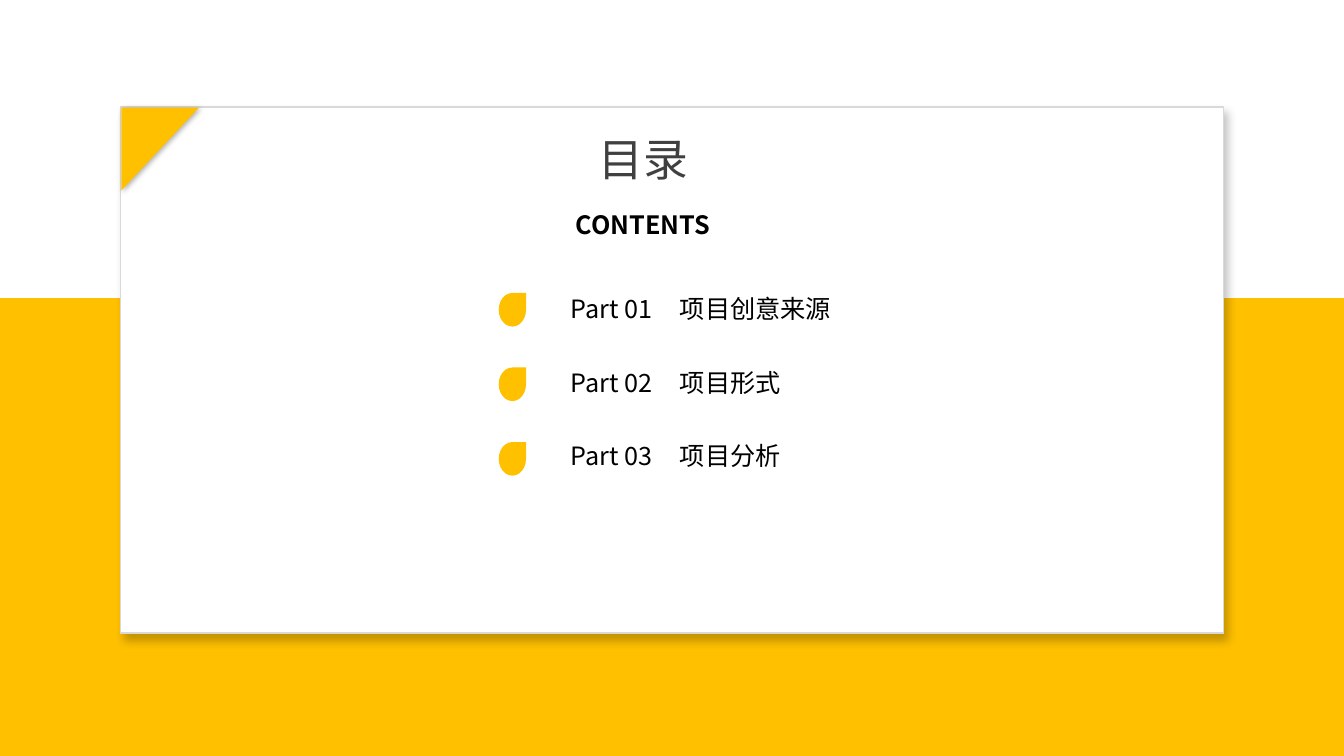
from lxml.etree import SubElement
from pptx import Presentation
from pptx.dml.color import RGBColor
from pptx.enum.shapes import MSO_SHAPE
from pptx.enum.text import MSO_AUTO_SIZE, PP_ALIGN
from pptx.oxml.ns import qn
from pptx.util import Pt

EMU_PER_PX = 9525
SLIDE_SIZE = (1280, 720)
FONT = "Noto Sans CJK SC"
AMBER = RGBColor(0xFF, 0xC0, 0x00)
WHITE = RGBColor(0xFF, 0xFF, 0xFF)
BORDER_GRAY = RGBColor(0xD9, 0xD9, 0xD9)
TITLE_GRAY = RGBColor(0x40, 0x40, 0x40)
BLACK = RGBColor(0x00, 0x00, 0x00)

PARTS = [
    ("Part 01", "项目创意来源"),
    ("Part 02", "项目形式"),
    ("Part 03", "项目分析"),
]


def px(length):
    return length * EMU_PER_PX


def add_block(slide, kind, box, color, line=None):
    shape = slide.shapes.add_shape(kind, *map(px, box))
    shape.shadow.inherit = False
    shape.fill.solid()
    shape.fill.fore_color.rgb = color
    if line is None:
        shape.line.fill.background()
    else:
        shape.line.color.rgb = line
        shape.line.width = Pt(1)
    return shape


def add_shadow(shape, opacity, blur, distance, angle):
    effects = shape._element.spPr.find(qn("a:effectLst"))
    shadow = SubElement(effects, qn("a:outerShdw"), {
        "blurRad": str(Pt(blur)), "dist": str(Pt(distance)),
        "dir": str(angle * 60000), "algn": "tl", "rotWithShape": "0"})
    color = SubElement(shadow, qn("a:srgbClr"), val=str(BLACK))
    SubElement(color, qn("a:alpha"), val=str(opacity * 1000))


def add_text(slide, box, text, color=BLACK, alignment=None, **font_format):
    frame = slide.shapes.add_textbox(*map(px, box)).text_frame
    frame.word_wrap = True
    frame.auto_size = MSO_AUTO_SIZE.SHAPE_TO_FIT_TEXT
    paragraph = frame.paragraphs[0]
    paragraph.alignment = alignment
    run = paragraph.add_run()
    run.text = text
    run.font.color.rgb = color
    for name, value in {"name": FONT, "size": Pt(18), **font_format}.items():
        setattr(run.font, name, value)
    SubElement(run._r.get_or_add_rPr(), qn("a:ea"), typeface=FONT)
    return paragraph


def add_tab_stop(paragraph, position):
    tabs = SubElement(paragraph._p.get_or_add_pPr(), qn("a:tabLst"))
    SubElement(tabs, qn("a:tab"), pos=str(px(position)), algn="l")


def add_card(slide, box):
    left, top, _, _ = box
    card = add_block(slide, MSO_SHAPE.RECTANGLE, box, WHITE, BORDER_GRAY)
    add_shadow(card, 24, 6, 5, 60)
    # Folded corner
    corner = add_block(slide, MSO_SHAPE.RIGHT_TRIANGLE,
                       (left - 2, top + 3, 79, 74), AMBER)
    corner.rotation = 90
    add_shadow(corner, 29, 4, 2, 40)


def add_heading(slide, box):
    left, top, width, _ = box
    add_text(slide, (left + 22, top, 158, 61), "目录", TITLE_GRAY,
             PP_ALIGN.JUSTIFY, size=Pt(32))
    add_text(slide, (left, top + 74, width, 38), "CONTENTS",
             alignment=PP_ALIGN.JUSTIFY, bold=True)


def add_contents(slide, box):
    left, top, width, _ = box
    for index, (number, title) in enumerate(PARTS):
        add_block(slide, MSO_SHAPE.TEAR,
                  (left, top + 4 + 71 * index, 26, 32), AMBER)
        entry = add_text(slide, (left + 59, top + 70 * index, width - 59, 38),
                         f"{number}\t{title}")
        add_tab_stop(entry, 104)


def add_contents_slide(presentation):
    slide = presentation.slides.add_slide(presentation.slide_layouts[6])
    width, height = SLIDE_SIZE
    # Lower band
    add_block(slide, MSO_SHAPE.RECTANGLE, (0, 284, width, height - 284), AMBER)
    # Card with heading and list of parts
    add_card(slide, (115, 102, 1050, 501))
    add_heading(slide, (539, 121, 204, 112))
    add_contents(slide, (475, 275, 401, 178))


def main():
    presentation = Presentation()
    presentation.slide_width, presentation.slide_height = map(px, SLIDE_SIZE)
    add_contents_slide(presentation)
    presentation.save("out.pptx")


if __name__ == "__main__":
    main()
